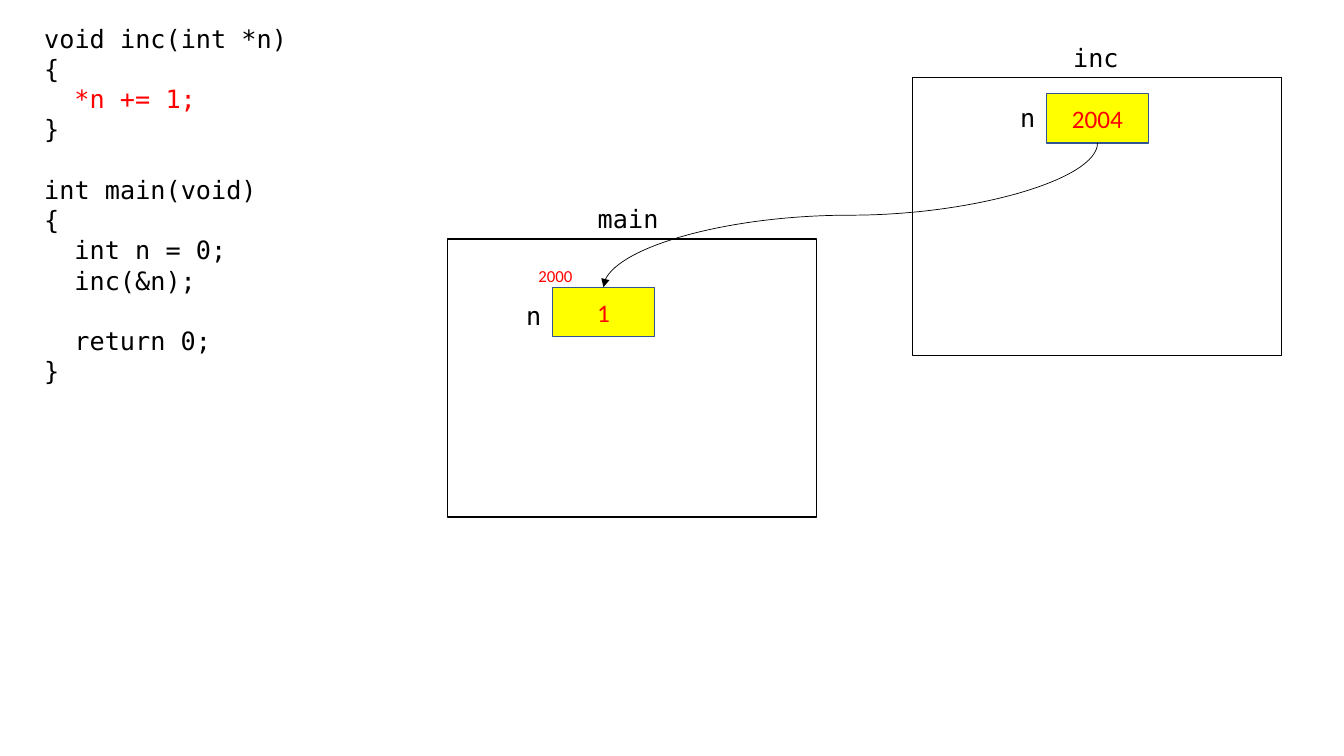
from dataclasses import dataclass
from lxml.etree import SubElement
from pptx import Presentation
from pptx.dml.color import RGBColor
from pptx.enum.shapes import MSO_CONNECTOR, MSO_SHAPE
from pptx.enum.text import MSO_ANCHOR, MSO_AUTO_SIZE, PP_ALIGN
from pptx.oxml.ns import qn
from pptx.util import Inches, Pt


@dataclass(frozen=True)
class Theme:
    ink: str = "000000"
    paper: str = "FFFFFF"
    accent: str = "FF0000"
    cell: str = "FFFF00"
    edge: str = "325491"
    mono: str = "DejaVu Sans Mono"
    sans: str = "Calibri"
    body: float = 18
    small: float = 12
    gap: float = 21.6
    tab: float = 0.3


FRAME = (3.66, 2.76)
CELL = (1.01, 0.49)

# Indent level, text; None leaves one line free.
CODE = [
    (0, "void inc(int *n)"), (0, "{"), (1, "*n += 1;"), (0, "}"), None,
    (0, "int main(void)"), (0, "{"), (1, "int n = 0;"), (1, "inc(&n);"), None,
    (1, "return 0;"), (0, "}"),
]
ACTIVE = "*n += 1;"


class Canvas:
    def __init__(self, slide, theme):
        self.slide = slide
        self.theme = theme

    def text(self, par, words, color, font, size):
        run = par.add_run()
        run.text = words
        run.font.name = font
        run.font.size = Pt(size)
        run.font.color.rgb = RGBColor.from_string(color)

    def box(self, x, y, w, h):
        frame = self.slide.shapes.add_textbox(
            Inches(x), Inches(y), Inches(w), Inches(h)).text_frame
        frame.word_wrap = True
        frame.auto_size = MSO_AUTO_SIZE.SHAPE_TO_FIT_TEXT
        return frame

    def label(self, words, x, y, w, h=0.4):
        look = self.theme
        self.text(self.box(x, y, w, h).paragraphs[0], words,
                  look.ink, look.mono, look.body)

    def note(self, words, x, y):
        look = self.theme
        self.text(self.box(x, y, 0.75, 0.3).paragraphs[0], words,
                  look.accent, look.sans, look.small)

    def code(self, lines, x, y, w, h):
        look = self.theme
        frame = self.box(x, y, w, h)
        par, space = frame.paragraphs[0], 0
        for line in lines:
            if line is None:
                space = look.gap
                continue
            level, words = line
            if par.runs:
                par = frame.add_paragraph()
            par.space_before = Pt(space)
            par._p.get_or_add_pPr().set("marL", str(Inches(level * look.tab)))
            color = look.accent if words == ACTIVE else look.ink
            self.text(par, words, color, look.mono, look.body)
            space = 0

    def rect(self, x, y, size, fill, edge):
        w, h = size
        shape = self.slide.shapes.add_shape(
            MSO_SHAPE.RECTANGLE, Inches(x), Inches(y), Inches(w), Inches(h))
        shape.shadow.inherit = False
        shape.fill.solid()
        shape.fill.fore_color.rgb = RGBColor.from_string(fill)
        shape.line.color.rgb = RGBColor.from_string(edge)
        shape.line.width = Pt(1)
        return shape

    def cell(self, value, x, y):
        look = self.theme
        frame = self.rect(x, y, CELL, look.cell, look.edge).text_frame
        frame.vertical_anchor = MSO_ANCHOR.MIDDLE
        par = frame.paragraphs[0]
        par.alignment = PP_ALIGN.CENTER
        self.text(par, value, look.accent, look.sans, look.body)

    def stack(self, name, x, y, width, value, dx, dy, drop):
        """Draw a call's frame and its n; return the top middle of n's cell."""
        look = self.theme
        self.rect(x, y, FRAME, look.paper, look.ink)
        self.label(name, x + (FRAME[0] - width) / 2, y - 0.4, width)
        self.cell(value, x + dx, y + dy)
        self.label("n", x + dx - 0.36, y + dy + drop, 0.41)
        return x + dx + CELL[0] / 2, y + dy

    def curve(self, start, end):
        """Draw an S-curve down and left, as a quarter-turned connector."""
        (x1, y1), (x2, y2) = start, end
        midx, midy = (x1 + x2) / 2, (y1 + y2) / 2
        across, down = (x1 - x2) / 2, (y2 - y1) / 2
        line = self.slide.shapes.add_connector(
            MSO_CONNECTOR.CURVE,
            Inches(midx - down), Inches(midy - across),
            Inches(midx + down), Inches(midy + across))
        line.line.color.rgb = RGBColor.from_string(self.theme.ink)
        line.line.width = Pt(0.5)
        props = line._element.spPr
        props.find(qn("a:xfrm")).set("rot", str(90 * 60000))
        SubElement(props.find(qn("a:ln")), qn("a:tailEnd"), type="triangle")
        SubElement(props, qn("a:effectLst"))


def main():
    deck = Presentation()
    deck.slide_width, deck.slide_height = Inches(13.33), Inches(7.5)
    page = Canvas(deck.slides.add_slide(deck.slide_layouts[6]), Theme())

    page.code(CODE, 0.34, 0.18, 4.61, 3.74)
    target = page.stack("main", 4.44, 2.37, 0.88, "1", 1.04, 0.48, 0.08)
    page.note("2000", 5.24, 2.59)
    x, y = page.stack("inc", 9.05, 0.77, 0.67, "2004", 1.33, 0.16, 0.04)
    page.curve((x, y + CELL[1]), target)

    deck.save("out.pptx")


if __name__ == "__main__":
    main()
